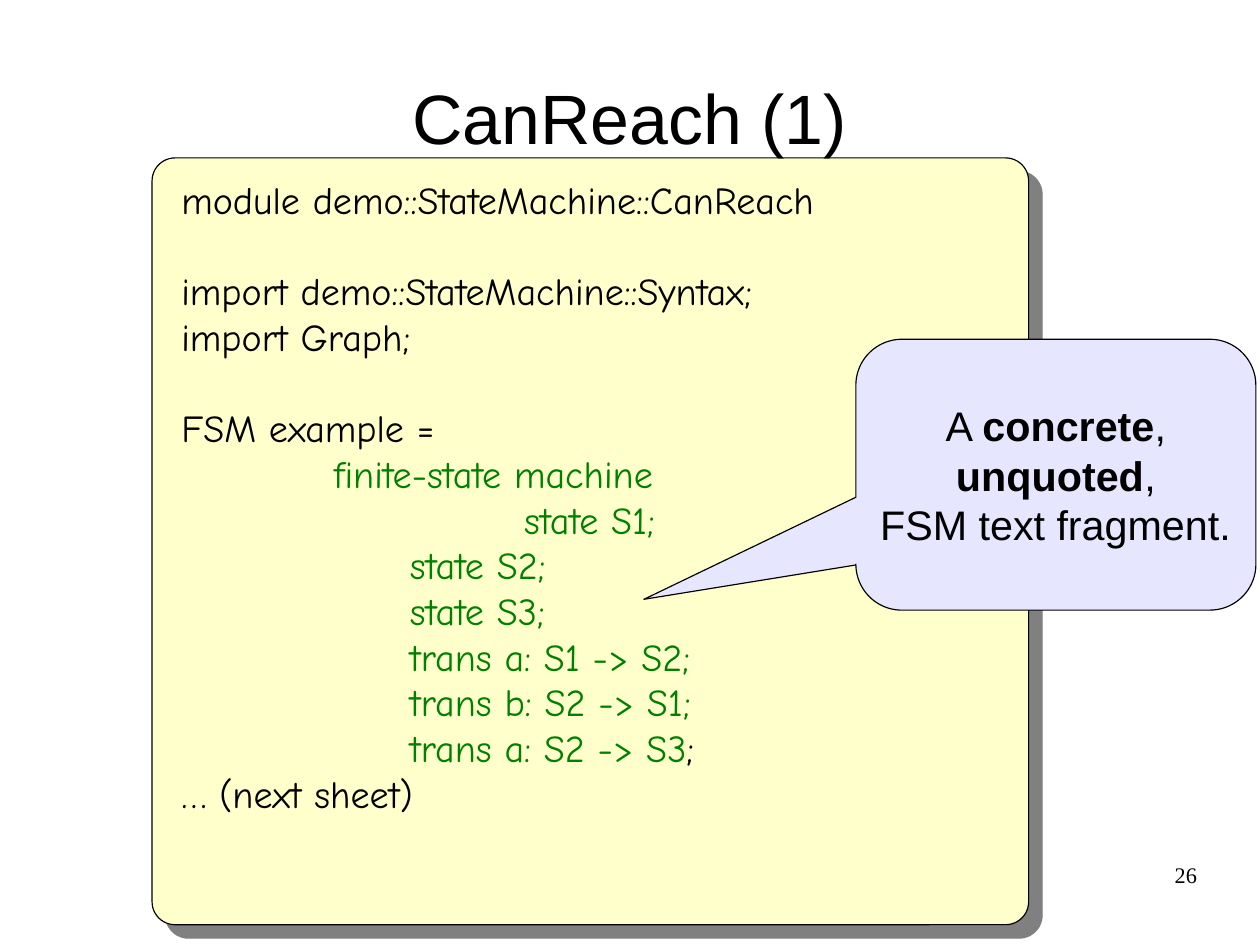
from dataclasses import dataclass

from lxml.etree import SubElement
from pptx import Presentation
from pptx.dml.color import RGBColor
from pptx.enum.shapes import MSO_SHAPE
from pptx.enum.text import MSO_ANCHOR, PP_ALIGN
from pptx.oxml.ns import qn
from pptx.shapes.autoshape import Shape
from pptx.slide import Slide
from pptx.util import Cm, Pt


@dataclass(frozen=True)
class Theme:
    black: RGBColor = RGBColor(0x00, 0x00, 0x00)
    green: RGBColor = RGBColor(0x00, 0x80, 0x00)
    panel: RGBColor = RGBColor(0xFF, 0xFF, 0xCC)
    callout: RGBColor = RGBColor(0xE6, 0xE6, 0xFF)
    shadow: str = "808080"
    sans: str = "Arial"
    code: str = "Comic Neue"
    serif: str = "Times New Roman"
    title_size: Pt = Pt(44)
    callout_size: Pt = Pt(26)
    code_size: Pt = Pt(24)
    number_size: Pt = Pt(14)
    blank_line: Pt = Pt(28.8)


THEME = Theme()


@dataclass(frozen=True)
class Box:
    left: float
    top: float
    width: float
    height: float

    def lengths(self) -> tuple[Cm, Cm, Cm, Cm]:
        return Cm(self.left), Cm(self.top), Cm(self.width), Cm(self.height)


@dataclass(frozen=True)
class Piece:
    text: str
    color: RGBColor = THEME.black
    bold: bool = False


@dataclass(frozen=True)
class Line:
    pieces: tuple[Piece, ...]
    gap_before: bool = False


@dataclass(frozen=True)
class TextStyle:
    font: str
    size: Pt
    align: PP_ALIGN = PP_ALIGN.LEFT
    anchor: MSO_ANCHOR = MSO_ANCHOR.TOP
    wrap: bool = True
    inset: tuple[float, float] = (0, 0)
    tab_stops: tuple[float, ...] = ()


@dataclass(frozen=True)
class Panel:
    kind: MSO_SHAPE
    box: Box
    adjustments: tuple[float, ...]
    fill: RGBColor
    line_width: Pt


def plain(text: str, color: RGBColor = THEME.black, gap_before: bool = False) -> Line:
    return Line((Piece(text, color),), gap_before)


CODE_LINES = (
    plain("module demo::StateMachine::CanReach"),
    plain("import demo::StateMachine::Syntax;", gap_before=True),
    plain("import Graph;"),
    plain("FSM example =", gap_before=True),
    plain("            finite-state machine", THEME.green),
    plain("\t\t\tstate S1;", THEME.green),
    plain("            \tstate S2;", THEME.green),
    plain("            \tstate S3;", THEME.green),
    plain("            \ttrans a: S1 -> S2;", THEME.green),
    plain("            \ttrans b: S2 -> S1;", THEME.green),
    Line((Piece("            \ttrans a: S2 -> S3", THEME.green), Piece(";"))),
    plain("… (next sheet)"),
)
CALLOUT_LINES = (
    Line((Piece("A "), Piece("concrete", bold=True), Piece(","))),
    Line((Piece("unquoted", bold=True), Piece(","))),
    plain("FSM text fragment."),
)

CODE_PANEL = Panel(
    MSO_SHAPE.ROUNDED_RECTANGLE, Box(3.38, 3.51, 19.48, 17.04), (0.03,), THEME.panel, Pt(0.75)
)
CALLOUT = Panel(
    MSO_SHAPE.ROUNDED_RECTANGULAR_CALLOUT,
    Box(19.02, 7.54, 8.89, 6.02),
    (-1.03, 0.46, 0.17),
    THEME.callout,
    Pt(0),
)

TITLE_STYLE = TextStyle(THEME.sans, THEME.title_size, PP_ALIGN.CENTER, MSO_ANCHOR.MIDDLE)
CODE_STYLE = TextStyle(
    THEME.code, THEME.code_size, inset=(0.25, 0.13), tab_stops=(2.54, 5.08, 7.62)
)
CALLOUT_STYLE = TextStyle(
    THEME.sans, THEME.callout_size, PP_ALIGN.CENTER, MSO_ANCHOR.MIDDLE, False, (0.25, 0.13)
)
NUMBER_STYLE = TextStyle(THEME.serif, THEME.number_size, PP_ALIGN.RIGHT)


def write_text(shape: Shape, lines: tuple[Line, ...], style: TextStyle) -> None:
    frame = shape.text_frame
    frame.word_wrap = style.wrap
    frame.vertical_anchor = style.anchor
    frame.margin_left = frame.margin_right = Cm(style.inset[0])
    frame.margin_top = frame.margin_bottom = Cm(style.inset[1])
    for index, line in enumerate(lines):
        paragraph = frame.add_paragraph() if index else frame.paragraphs[0]
        paragraph.alignment = style.align
        if line.gap_before:
            paragraph.space_before = THEME.blank_line
        if style.tab_stops:
            tab_list = SubElement(paragraph._p.get_or_add_pPr(), qn("a:tabLst"))
            for stop in style.tab_stops:
                SubElement(tab_list, qn("a:tab"), pos=str(Cm(stop)), algn="l")
        paragraph.font.name = style.font
        paragraph.font.size = style.size
        paragraph.font.color.rgb = line.pieces[0].color
        for piece in line.pieces:
            run = paragraph.add_run()
            run.text = piece.text
            if piece.bold:
                run.font.bold = True
            if piece.color != line.pieces[0].color:
                run.font.color.rgb = piece.color


def add_text(slide: Slide, box: Box, lines: tuple[Line, ...], style: TextStyle) -> None:
    write_text(slide.shapes.add_textbox(*box.lengths()), lines, style)


def add_panel(slide: Slide, panel: Panel) -> Shape:
    shape = slide.shapes.add_shape(panel.kind, *panel.box.lengths())
    for index, value in enumerate(panel.adjustments):
        shape.adjustments[index] = value
    shape.shadow.inherit = False
    shape.fill.solid()
    shape.fill.fore_color.rgb = panel.fill
    shape.line.color.rgb = THEME.black
    shape.line.width = panel.line_width
    return shape


def add_hard_shadow(shape: Shape) -> None:
    effects = shape._element.spPr.find(qn("a:effectLst"))
    shadow = SubElement(
        effects, qn("a:outerShdw"), dist=str(Pt(12)), dir="2700000", algn="tl", rotWithShape="0"
    )
    SubElement(shadow, qn("a:srgbClr"), val=THEME.shadow)


def main() -> None:
    presentation = Presentation()
    presentation.slide_width = Cm(28)
    presentation.slide_height = Cm(21)
    slide = presentation.slides.add_slide(presentation.slide_layouts[6])

    add_hard_shadow(add_panel(slide, CODE_PANEL))
    add_text(slide, Box(1.4, 0.97, 25.2, 3.25), (plain("CanReach (1)"),), TITLE_STYLE)
    add_text(slide, Box(3.78, 3.78, 24, 16.74), CODE_LINES, CODE_STYLE)
    write_text(add_panel(slide, CALLOUT), CALLOUT_LINES, CALLOUT_STYLE)
    add_text(slide, Box(20.07, 19.13, 6.53, 1.45), (plain("26"),), NUMBER_STYLE)

    presentation.save("out.pptx")


if __name__ == "__main__":
    main()
